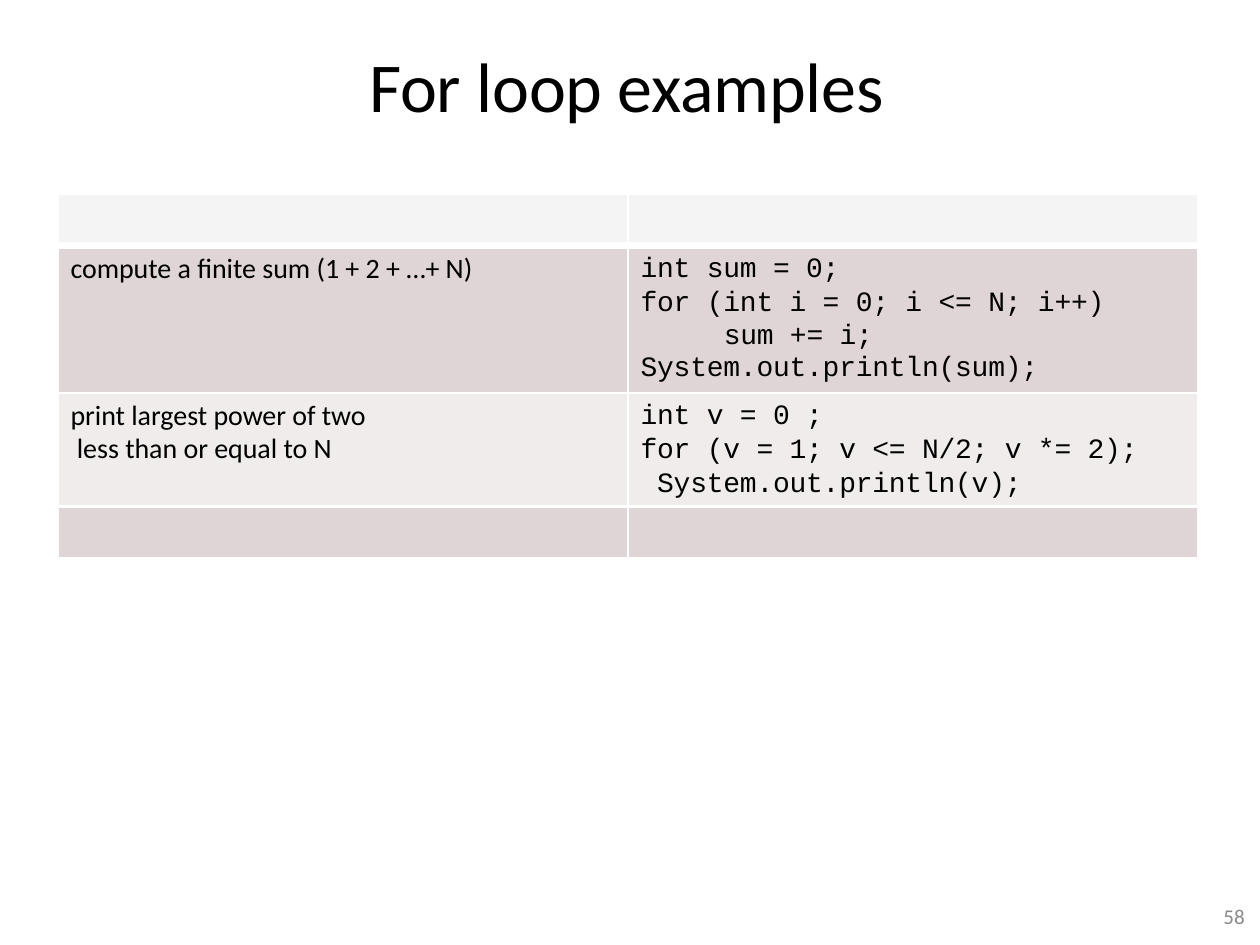
from pptx import Presentation
from pptx.dml.color import RGBColor as Rgb
from pptx.enum.text import MSO_ANCHOR as Anchor, PP_ALIGN as Align
from pptx.util import Inches, Pt
from pptx.oxml import parse_xml as to_xml
from pptx.oxml.ns import nsdecls

SANS, MONO = "Calibri", "Courier New"
ROWS = [
    (0.41, "F4F4F4", [], []),
    (1.17, "E0D5D6",
     [("compute a finite sum (1 + 2 + …+ N)", dict(before=3.6, track=0))],
     [("int sum = 0;", dict(before=3.6, line=19.1)),
      ("for (int i = 0; i <= N; i++)\vsum += i;",
       dict(before=0.7, line=19, left=0.76, first=-0.66)),
      ("System.out.println(sum);", dict(line=18.4))]),
    (0.9, "F1ECEC",
     [("print largest power of two\v less than or equal to N",
       dict(before=4.4, line=19, track=0))],
     [("int v = 0 ;", dict(before=3.6, line=19.1)),
      ("for (v = 1; v <= N/2; v *= 2);\v System.out.println(v);",
       dict(before=0.7, line=19))]),
    (0.41, "E0D5D6", [], []),
]


def color(code):
    return Rgb.from_string(code)


def write(para, text, size=16, font=SANS, ink="000000", before=0, line=None,
          left=0.1, first=0, track=-0.1):
    para.text = text
    para.alignment = Align.LEFT
    para.space_before = Pt(before)
    if line:
        para.line_spacing = Pt(line)
    props = para._p.get_or_add_pPr()
    props.set("marL", str(Inches(left)))
    props.set("indent", str(Inches(first)))
    for run in para.runs:
        run.font.size = Pt(size)
        run.font.name = font
        run.font.color.rgb = color(ink)
        run.font._element.set("spc", str(round(track * 100)))


def fit(frame):
    frame.margin_left = frame.margin_right = frame.margin_bottom = 0
    frame.margin_top = Inches(0.01)
    frame.vertical_anchor = Anchor.TOP
    frame.word_wrap = True


def title(slide, box):
    shape = slide.shapes.title
    shape.left, shape.top, shape.width, shape.height = map(Inches, box)
    fit(shape.text_frame)
    write(shape.text_frame.paragraphs[0], "For loop examples", size=40,
          before=1, left=0.01)


def number(slide, box):
    frame = slide.shapes.add_textbox(*map(Inches, box)).text_frame
    fit(frame)
    write(frame.paragraphs[0], "58", size=12, ink="898989", before=0.4,
          left=0.04, track=0)


def edge(cell, side, width):
    cell._tc.get_or_add_tcPr().append(to_xml(
        f'<a:ln{side} {nsdecls("a")} w="{Pt(width)}"><a:solidFill>'
        f'<a:srgbClr val="FFFFFF"/></a:solidFill></a:ln{side}>'))


def paint(cell, fill, row):
    widths = dict(L=1.5, R=1.5, T=4.25 if row == 1 else 1.5,
                  B=4.25 if row == 0 else 1.5)
    for side, width in widths.items():
        edge(cell, side, width)
    cell.fill.solid()
    cell.fill.fore_color.rgb = color(fill)
    cell.margin_left = cell.margin_right = cell.margin_bottom = 0
    cell.margin_top = Inches(0.05)


def table(slide, box):
    grid = slide.shapes.add_table(len(ROWS), 2, *map(Inches, box)).table
    for row, (height, fill, *texts) in enumerate(ROWS):
        grid.rows[row].height = Inches(height)
        for col, (lines, font) in enumerate(zip(texts, (SANS, MONO))):
            cell = grid.cell(row, col)
            paint(cell, fill, row)
            frame = cell.text_frame
            for pos, (text, style) in enumerate(lines):
                para = frame.add_paragraph() if pos else frame.paragraphs[0]
                write(para, text, font=font, **style)


def main():
    deck = Presentation()
    deck.slide_width, deck.slide_height = Inches(10), Inches(7.5)
    slide = deck.slides.add_slide(deck.slide_layouts[5])
    title(slide, (2.92, 0.33, 4.17, 0.69))
    number(slide, (9.67, 7.16, 0.25, 0.23))
    table(slide, (0.46, 1.54, 9.05, 2.89))
    deck.save("out.pptx")


if __name__ == "__main__":
    main()
